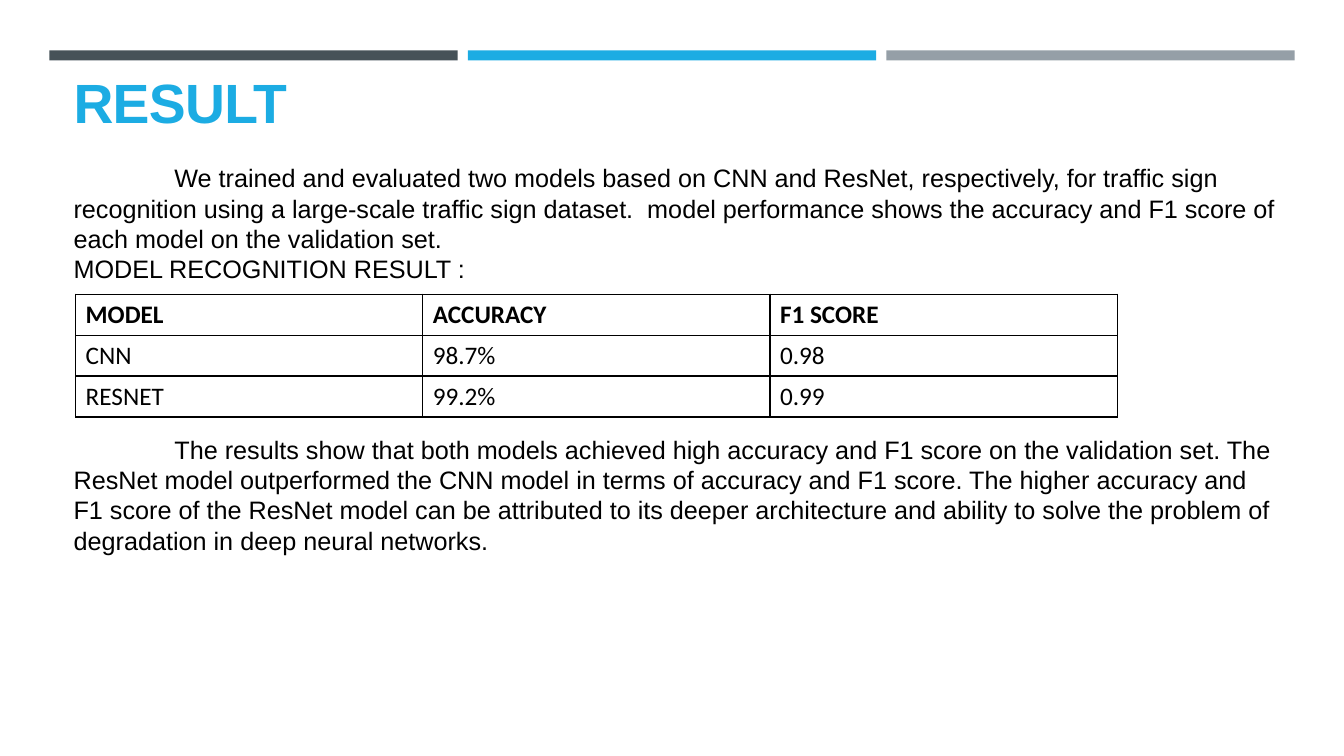
import pptx
import pptx.dml.color
import pptx.enum.shapes
import pptx.enum.text
import pptx.oxml
import pptx.oxml.ns
import pptx.util
from dataclasses import dataclass

Inches = pptx.util.Inches
Pt = pptx.util.Pt


@dataclass(frozen=True)
class Theme:
    dark: str = "465258"
    accent: str = "1CACE3"
    gray: str = "959FA7"
    ink: str = "000000"
    text_font: str = "Arial"
    table_font: str = "Calibri"
    title_size: float = 39.5
    text_size: float = 18
    line_pitch: float = 21.7


THEME = Theme()

INTRO = (
    "We trained and evaluated two models based on CNN and ResNet, respectively, "
    "for traffic sign recognition using a large-scale traffic sign dataset.\u00a0\u00a0"
    "model performance shows the accuracy and F1 score of each model on the validation set."
)
HEADING = "MODEL RECOGNITION RESULT :"
CONCLUSION = (
    "The results show that both models achieved high accuracy and F1 score on the "
    "validation set. The ResNet model outperformed the CNN model in terms of accuracy "
    "and F1 score. The higher accuracy and F1 score of the ResNet model can be attributed "
    "to its deeper architecture and ability to solve the problem of degradation in deep "
    "neural networks."
)
RESULTS = [
    ("MODEL", "ACCURACY", "F1 SCORE"),
    ("CNN", "98.7%", "0.98"),
    ("RESNET", "99.2%", "0.99"),
]


def rgb(color):
    return pptx.dml.color.RGBColor.from_string(color)


def write_text(paragraph, text, font=THEME.text_font, size=THEME.text_size,
               color=THEME.ink, bold=False, spacing=None):
    run = paragraph.add_run()
    run.text = text
    run.font.name = font
    run.font.size = Pt(size)
    run.font.color.rgb = rgb(color)
    run.font.bold = bold
    if spacing is not None:
        run.font._element.set("spc", str(int(spacing * 100)))
    paragraph.alignment = pptx.enum.text.PP_ALIGN.LEFT


def place(placeholder, left, top, width, height):
    placeholder.left, placeholder.top = Inches(left), Inches(top)
    placeholder.width, placeholder.height = Inches(width), Inches(height)
    frame = placeholder.text_frame
    frame.margin_left = frame.margin_right = frame.margin_top = frame.margin_bottom = 0
    frame.vertical_anchor = pptx.enum.text.MSO_ANCHOR.TOP
    frame.auto_size = pptx.enum.text.MSO_AUTO_SIZE.NONE
    frame.word_wrap = True
    return frame


def format_body_paragraph(paragraph, indent=0, space_before=0):
    paragraph.line_spacing = Pt(THEME.line_pitch)
    paragraph.space_before = Pt(space_before)
    paragraph.space_after = Pt(0)
    properties = paragraph._p.get_or_add_pPr()
    properties.set("marL", "0")
    properties.set("indent", str(Inches(indent)))
    properties.append(pptx.oxml.parse_xml(
        f"<a:buNone {pptx.oxml.ns.nsdecls('a')}/>"))


def add_bars(slide):
    for index, color in enumerate((THEME.dark, THEME.accent, THEME.gray)):
        bar = slide.shapes.add_shape(
            pptx.enum.shapes.MSO_SHAPE.RECTANGLE,
            Inches(0.49 + 4.15 * index), Inches(0.5), Inches(4.05), Inches(0.1))
        bar.shadow.inherit = False
        bar.fill.solid()
        bar.fill.fore_color.rgb = rgb(color)
        bar.line.fill.background()


def add_borders(cell):
    properties = cell._tc.get_or_add_tcPr()
    for position, side in enumerate(("lnL", "lnR", "lnT", "lnB")):
        properties.insert(position, pptx.oxml.parse_xml(
            f'<a:{side} {pptx.oxml.ns.nsdecls("a")} w="{Pt(1)}"><a:solidFill>'
            f'<a:srgbClr val="{THEME.ink}"/></a:solidFill></a:{side}>'))


def add_results_table(slide):
    table = slide.shapes.add_table(
        len(RESULTS), len(RESULTS[0]),
        Inches(0.75), Inches(2.92), Inches(10.33), Inches(1.2)).table
    table.horz_banding = False
    for row_index, values in enumerate(RESULTS):
        for column_index, value in enumerate(values):
            cell = table.cell(row_index, column_index)
            cell.fill.background()
            add_borders(cell)
            write_text(cell.text_frame.paragraphs[0], value,
                       font=THEME.table_font, bold=row_index == 0)


def main():
    presentation = pptx.Presentation()
    presentation.slide_width = Inches(13.33)
    presentation.slide_height = Inches(7.5)
    slide = presentation.slides.add_slide(presentation.slide_layouts[1])
    title, body = slide.placeholders

    # Header bars and title
    add_bars(slide)
    title_frame = place(title, 0.73, 0.68, 11.93, 0.65)
    write_text(title_frame.paragraphs[0], "RESULT", size=THEME.title_size,
               color=THEME.accent, bold=True, spacing=-0.5)

    # Running text, with room for the table before the conclusion
    body_frame = place(body, 0.73, 1.61, 11.95, 4)
    paragraphs = ((INTRO, 1, 0), (HEADING, 0, 0), (CONCLUSION, 1, 107))
    for index, (text, indent, space_before) in enumerate(paragraphs):
        paragraph = body_frame.add_paragraph() if index else body_frame.paragraphs[0]
        format_body_paragraph(paragraph, indent, space_before)
        write_text(paragraph, text)

    # Scores of both models
    add_results_table(slide)
    presentation.save("out.pptx")


if __name__ == "__main__":
    main()
